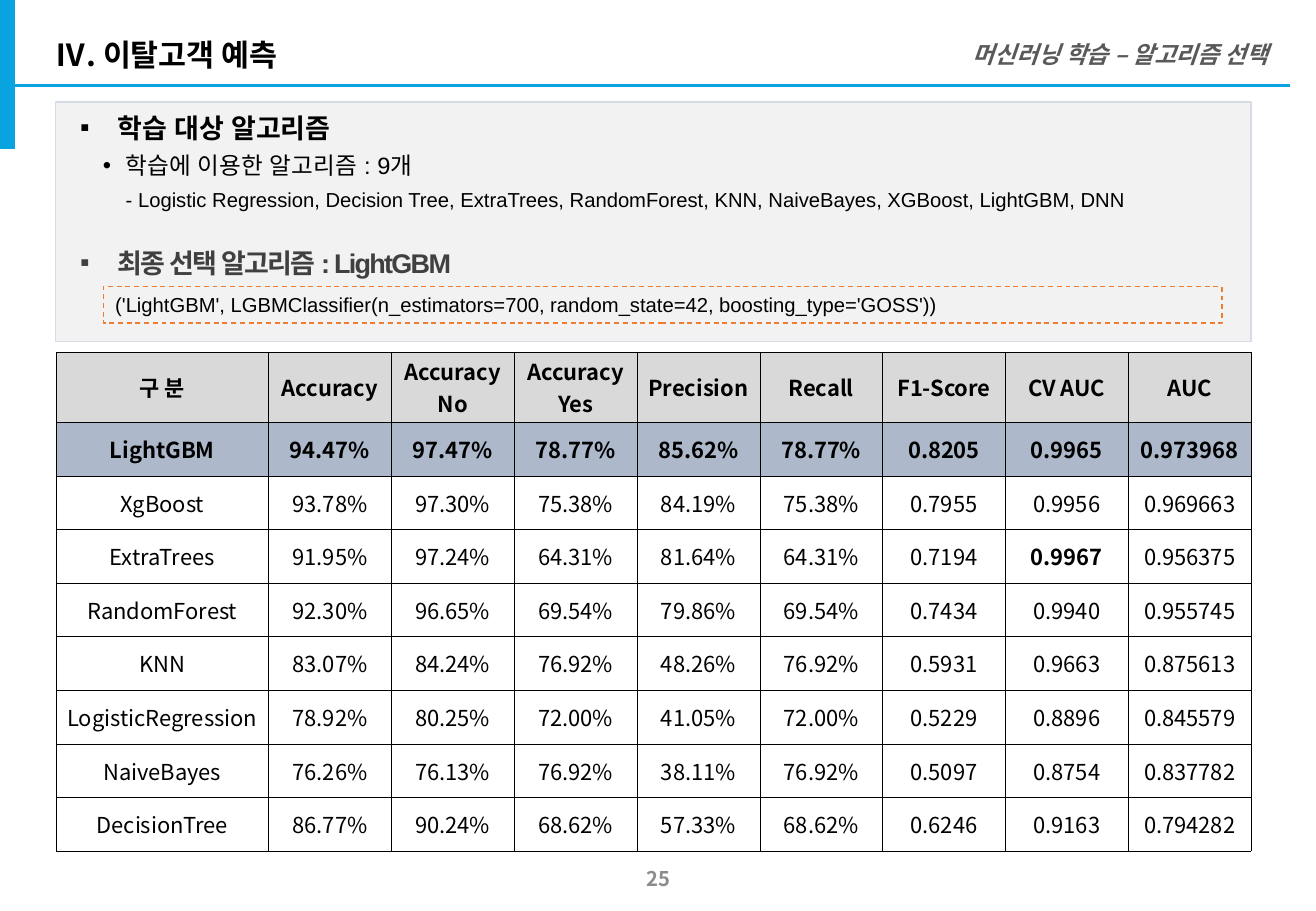
"""Builds the slide on algorithm selection for churn prediction."""
import pptx
import pptx.dml.color
import pptx.enum.dml
import pptx.enum.shapes
import pptx.enum.text
import pptx.oxml
import pptx.oxml.ns
import pptx.util

Pt = pptx.util.Pt
RGBColor = pptx.dml.color.RGBColor
Align = pptx.enum.text.PP_ALIGN
Anchor = pptx.enum.text.MSO_ANCHOR

BLACK = RGBColor(0x00, 0x00, 0x00)
BLUE = RGBColor(0x09, 0xA3, 0xDF)
ORANGE = RGBColor(0xED, 0x7D, 0x31)
DARK_GRAY = RGBColor(0x40, 0x40, 0x40)
MID_GRAY = RGBColor(0x59, 0x59, 0x59)
PAGE_GRAY = RGBColor(0x8C, 0x8C, 0x8C)
PANEL_FILL = RGBColor(0xF2, 0xF2, 0xF2)
PANEL_LINE = RGBColor(0xD6, 0xDC, 0xE5)
HEADER_FILL = RGBColor(0xD9, 0xD9, 0xD9)
BEST_FILL = RGBColor(0xAD, 0xB9, 0xCA)

ARIAL = "Arial"
NOTO = "Noto Sans CJK KR"

LEFT = 33.1
CONTENT_WIDTH = 708.4

OUTLINE = [
    ("학습 대상 알고리즘",
     dict(size=16, bold=True, bullet="▪", margin=22.3, indent=-22.3)),
    ("학습에 이용한 알고리즘 : 9개",
     dict(size=14, level=1, bullet="•", margin=27, indent=-13.5, before=1)),
    ("- Logistic Regression, Decision Tree, ExtraTrees, RandomForest, KNN, "
     "NaiveBayes, XGBoost, LightGBM, DNN",
     dict(size=12, level=1, margin=27, before=1.5)),
    ("최종 선택 알고리즘 : LightGBM",
     dict(size=16, bold=True, color=DARK_GRAY, bullet="▪", margin=22.3,
          indent=-22.3, before=17, tracking=-1)),
]

SCORES = [
    ["구 분", "Accuracy", "Accuracy\nNo", "Accuracy\nYes", "Precision",
     "Recall", "F1-Score", "CV AUC", "AUC"],
    ["LightGBM", "94.47%", "97.47%", "78.77%", "85.62%", "78.77%",
     "0.8205", "0.9965", "0.973968"],
    ["XgBoost", "93.78%", "97.30%", "75.38%", "84.19%", "75.38%",
     "0.7955", "0.9956", "0.969663"],
    ["ExtraTrees", "91.95%", "97.24%", "64.31%", "81.64%", "64.31%",
     "0.7194", "0.9967", "0.956375"],
    ["RandomForest", "92.30%", "96.65%", "69.54%", "79.86%", "69.54%",
     "0.7434", "0.9940", "0.955745"],
    ["KNN", "83.07%", "84.24%", "76.92%", "48.26%", "76.92%",
     "0.5931", "0.9663", "0.875613"],
    ["LogisticRegression", "78.92%", "80.25%", "72.00%", "41.05%", "72.00%",
     "0.5229", "0.8896", "0.845579"],
    ["NaiveBayes", "76.26%", "76.13%", "76.92%", "38.11%", "76.92%",
     "0.5097", "0.8754", "0.837782"],
    ["DecisionTree", "86.77%", "90.24%", "68.62%", "57.33%", "68.62%",
     "0.6246", "0.9163", "0.794282"],
]
BEST_CV_AUC = "0.9967"


def add_xml(parent, tag, **attributes):
    element = pptx.oxml.parse_xml(f"<a:{tag} {pptx.oxml.ns.nsdecls('a')}/>")
    for name, value in attributes.items():
        element.set(name, str(value))
    parent.append(element)
    return element


def write(paragraph, text, *, font=NOTO, size=12, color=BLACK, bold=False,
          italic=False, align=Align.LEFT, level=0, bullet=None, margin=0,
          indent=0, spacing=1.0, before=0, tracking=0):
    properties = paragraph._p.get_or_add_pPr()
    properties.set("marL", str(Pt(margin)))
    properties.set("indent", str(Pt(indent)))
    if bullet:
        add_xml(properties, "buFont", typeface=ARIAL)
        add_xml(properties, "buChar", char=bullet)
    else:
        add_xml(properties, "buNone")
    paragraph.level = level
    paragraph.alignment = align
    paragraph.line_spacing = spacing
    paragraph.space_before = Pt(before)
    run = paragraph.add_run()
    run.text = text
    run.font.size = Pt(size)
    run.font.bold = bold
    run.font.italic = italic
    run.font.color.rgb = color
    run.font.name = font
    add_xml(run.font._element, "ea", typeface=font)
    if tracking:
        run.font._element.set("spc", str(tracking * 100))


class SlideBuilder:
    def __init__(self, presentation):
        self.slide = presentation.slides.add_slide(presentation.slide_layouts[1])
        self.shapes = self.slide.shapes

    def place(self, shape, left, top, width, height):
        shape.left, shape.top = Pt(left), Pt(top)
        shape.width, shape.height = Pt(width), Pt(height)

    def frame(self, shape, insets, anchor=Anchor.MIDDLE):
        frame = shape.text_frame
        frame.word_wrap = True
        frame.auto_size = pptx.enum.text.MSO_AUTO_SIZE.NONE
        frame.vertical_anchor = anchor
        (frame.margin_left, frame.margin_top,
         frame.margin_right, frame.margin_bottom) = map(Pt, insets)
        return frame

    def paint(self, shape, fill, line):
        if fill is None:
            shape.fill.background()
        else:
            shape.fill.solid()
            shape.fill.fore_color.rgb = fill
        shape.line.color.rgb = line
        shape.line.width = Pt(0.75)

    def title(self, text, box, **style):
        shape = self.shapes.title
        self.place(shape, *box)
        write(self.frame(shape, (0, 3.6, 7.2, 3.6)).paragraphs[0], text, **style)

    def panel(self, items, box):
        shape = self.slide.placeholders[1]
        self.place(shape, *box)
        self.paint(shape, PANEL_FILL, PANEL_LINE)
        frame = self.frame(shape, (14.4, 1.8, 0, 0), Anchor.TOP)
        for number, (text, style) in enumerate(items):
            paragraph = frame.add_paragraph() if number else frame.paragraphs[0]
            write(paragraph, text, font=ARIAL, spacing=1.2, **style)

    def label(self, text, box, **style):
        shape = self.shapes.add_textbox(*map(Pt, box))
        write(self.frame(shape, (0, 3.6, 7.2, 3.6)).paragraphs[0], text, **style)

    def rectangle(self, box, fill, line):
        kind = pptx.enum.shapes.MSO_SHAPE.RECTANGLE
        shape = self.shapes.add_shape(kind, *map(Pt, box))
        shape.shadow.inherit = False
        self.paint(shape, fill, line)
        return shape

    def code_box(self, text, box):
        shape = self.rectangle(box, None, ORANGE)
        shape.line.dash_style = pptx.enum.dml.MSO_LINE.DASH
        frame = self.frame(shape, (7.2, 3.6, 7.2, 3.6))
        write(frame.paragraphs[0], text, font=ARIAL)

    def rule(self, start, end, top):
        kind = pptx.enum.shapes.MSO_CONNECTOR.STRAIGHT
        line = self.shapes.add_connector(kind, Pt(start), Pt(top), Pt(end), Pt(top))
        line.line.color.rgb = BLUE
        line.line.width = Pt(1.5)
        add_xml(line._element.spPr, "effectLst")

    def cell(self, cell, text, fill, bold):
        properties = cell._tc.get_or_add_tcPr()
        for side in ("lnL", "lnR", "lnT", "lnB"):
            border = add_xml(properties, side, w=Pt(0.25))
            add_xml(add_xml(border, "solidFill"), "srgbClr", val=BLACK)
        if fill is None:
            cell.fill.background()
        else:
            cell.fill.solid()
            cell.fill.fore_color.rgb = fill
        cell.vertical_anchor = Anchor.MIDDLE
        cell.margin_left = cell.margin_right = Pt(5)
        cell.margin_top = cell.margin_bottom = Pt(2)
        for number, line in enumerate(text.split("\n")):
            frame = cell.text_frame
            paragraph = frame.add_paragraph() if number else frame.paragraphs[0]
            write(paragraph, line, size=13, bold=bold, align=Align.CENTER)

    def table(self, rows, box, first_width, first_height):
        left, top, width, height = box
        table = self.shapes.add_table(len(rows), len(rows[0]), *map(Pt, box)).table
        table.first_row = table.horz_banding = False
        for number, column in enumerate(table.columns):
            other = (width - first_width) / (len(rows[0]) - 1)
            column.width = Pt(other if number else first_width)
        for number, row in enumerate(table.rows):
            other = (height - first_height) / (len(rows) - 1)
            row.height = Pt(other if number else first_height)
            fill = {0: HEADER_FILL, 1: BEST_FILL}.get(number)
            for cell, text in zip(row.cells, rows[number]):
                self.cell(cell, text, fill, number < 2 or text == BEST_CV_AUC)


def main():
    presentation = pptx.Presentation()
    presentation.slide_width, presentation.slide_height = Pt(780), Pt(540)
    builder = SlideBuilder(presentation)
    builder.title("Ⅳ. 이탈고객 예측", (LEFT, 18, 408, 28), size=18, bold=True)
    builder.panel(OUTLINE, (LEFT, 60.5, CONTENT_WIDTH, 141.8))
    builder.rule(2, 764.6, 50.6)
    builder.rectangle((0, 0, 8.6, 88), BLUE, BLUE)
    builder.label("머신러닝 학습 – 알고리즘 선택", (500, 18, 259, 28), size=14,
                  color=MID_GRAY, bold=True, italic=True, align=Align.RIGHT)
    builder.code_box("('LightGBM', LGBMClassifier(n_estimators=700, random_state=42, "
                     "boosting_type='GOSS'))", (61.2, 169.9, 663.1, 21.6))
    builder.table(SCORES, (LEFT, 208.8, CONTENT_WIDTH, 295.8), 126, 41.4)
    builder.label("25", (375.8, 506.2, 36, 28.8), color=PAGE_GRAY, bold=True,
                  align=Align.CENTER)
    presentation.save("out.pptx")


if __name__ == "__main__":
    main()
